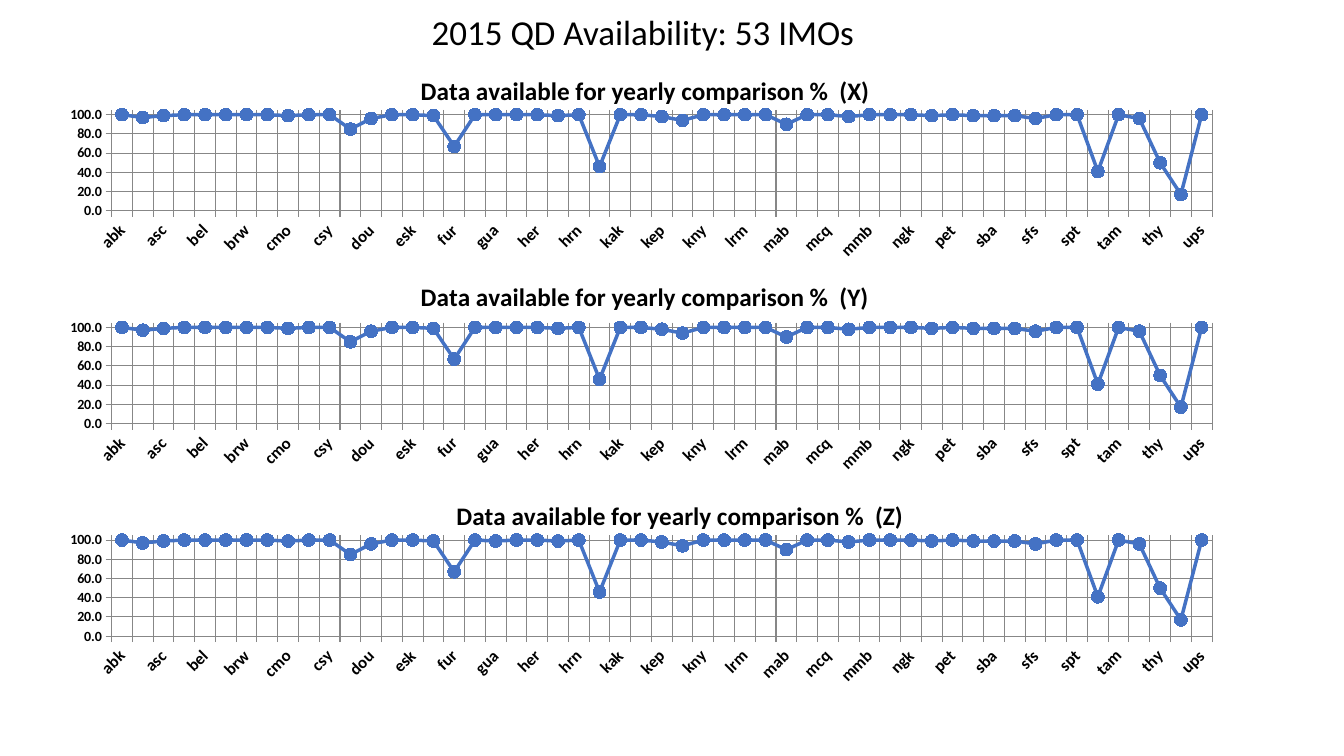
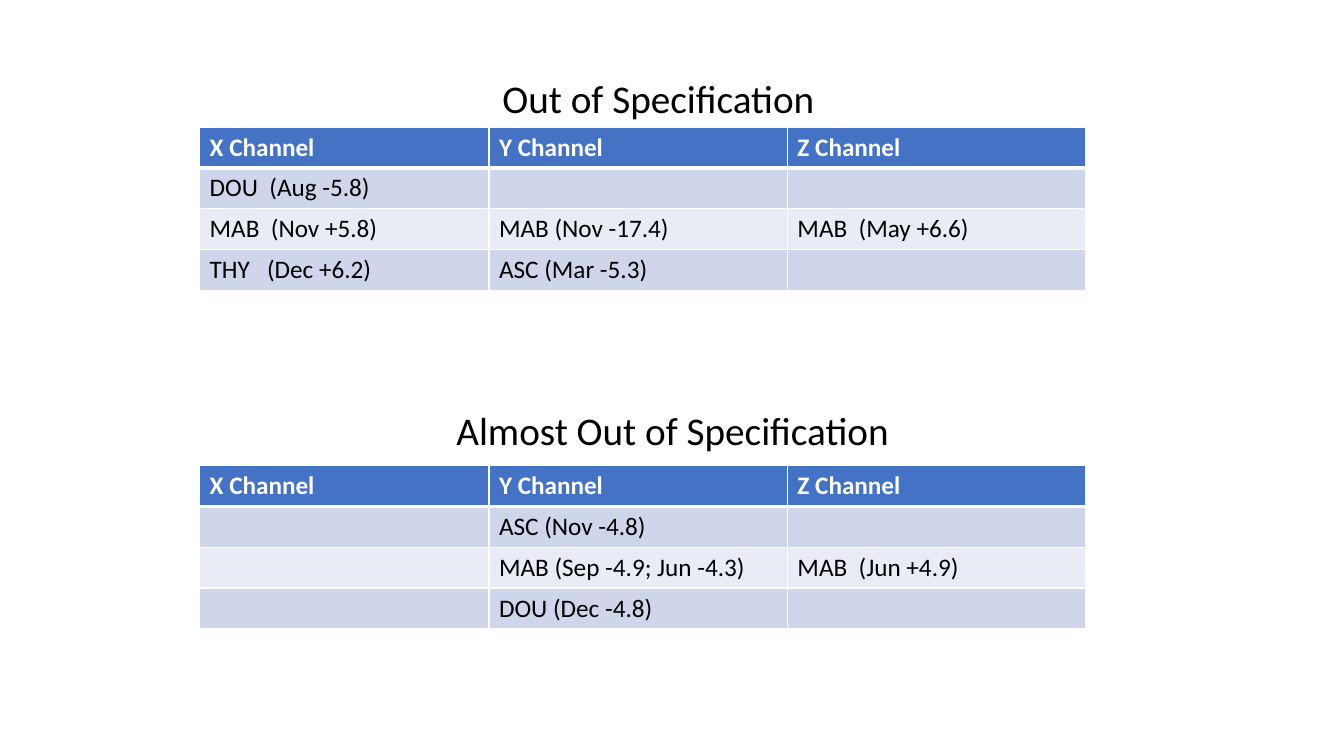
from dataclasses import dataclass

from lxml import etree
from pptx import Presentation
from pptx.chart.data import CategoryChartData
from pptx.dml.color import RGBColor
from pptx.enum import chart as ch, text
from pptx.oxml import ns
from pptx.util import Inches, Pt


@dataclass(frozen=True)
class Theme:
    font: str = "Calibri"
    ink: str = "000000"
    paper: str = "FFFFFF"
    accent: str = "4472C4"
    bands: tuple = ("CFD5EA", "E9EBF5")
    grid: str = "878787"
    page_title: int = 25
    table_title: int = 28
    body: int = 18
    categories: int = 12
    values: int = 10


THEME = Theme()

STATIONS = (
    "abk api asc asp bel bou brw cki cmo cnb csy cta dou ebr esk frd fur gng "
    "gua had her hon hrn jco kak kdu kep khb kny ler lrm lyc mab maw mcq mgd "
    "mmb new ngk nvs pet pst sba sbl sfs sjg spt sua tam tdc thy tuc ups"
).split()
# Stations below full availability, in percent
SHORTFALLS = dict(
    api=97, asc=99, cmo=99, cta=85, dou=96, frd=99, fur=67, hon=99, jco=46,
    kep=98, khb=94, mab=90, mgd=98, nvs=99, pst=99, sba=99, sbl=99, sfs=96,
    sua=41, tdc=96, thy=50, tuc=17,
)
# Channel, title position within the chart, further shortfalls
CHANNELS = [
    ("X", (0.31, 0.07), {}),
    ("Y", (0.31, 0.04), {}),
    ("Z", (0.34, 0.07), {"gua": 99}),
]
HEADER = ["X Channel", "Y Channel", "Z Channel"]
OUT_OF_SPEC = [
    ["DOU  (Aug -5.8)", "", ""],
    ["MAB  (Nov +5.8)", "MAB (Nov -17.4)", "MAB  (May +6.6)"],
    ["THY   (Dec +6.2)", "ASC (Mar -5.3)", ""],
]
ALMOST_OUT = [
    ["", "ASC (Nov -4.8)", ""],
    ["", "MAB (Sep -4.9; Jun -4.3)", "MAB  (Jun +4.9)"],
    ["", "DOU (Dec -4.8)", ""],
]


def rgb(color):
    return RGBColor.from_string(color)


def set_font(font, size, color=THEME.ink, bold=False):
    font.name, font.size, font.bold = THEME.font, Pt(size), bold
    font.color.rgb = rgb(color)


def add_title(s, words, left, top, width, height, size):
    tf = s.shapes.add_textbox(*map(Inches, (left, top, width, height))).text_frame
    tf.word_wrap = True
    tf.vertical_anchor = text.MSO_ANCHOR.MIDDLE
    p = tf.paragraphs[0]
    p.text = words
    p.alignment = text.PP_ALIGN.CENTER
    p.line_spacing = 0.9
    set_font(p.font, size)


def set_layout(parent, index, **settings):
    """Place a chart part by hand, in fractions of the chart."""
    for old in parent.findall(ns.qn("c:layout")):
        parent.remove(old)
    layout = etree.Element(ns.qn("c:layout"))
    manual = etree.SubElement(layout, ns.qn("c:manualLayout"))
    for name, value in settings.items():
        etree.SubElement(manual, ns.qn(f"c:{name}")).set("val", str(value))
    parent.insert(index, layout)


def style_axis(axis, size):
    axis.has_major_gridlines = True
    axis.major_tick_mark = ch.XL_TICK_MARK.OUTSIDE
    for line in (axis.major_gridlines.format.line, axis.format.line):
        line.color.rgb = rgb(THEME.grid)
        line.width = Pt(0.75)
    set_font(axis.tick_labels.font, size, bold=True)


def add_availability_chart(s, channel, title_at, extra, top):
    low = SHORTFALLS | extra
    data = CategoryChartData()
    data.categories = STATIONS
    data.add_series("Series 1", [low.get(name, 100) for name in STATIONS])
    chart = s.shapes.add_chart(
        ch.XL_CHART_TYPE.LINE_MARKERS, Inches(0.47), Inches(top),
        Inches(11.8), Inches(2.11), data).chart
    chart.has_legend = False
    set_font(chart.font, THEME.values)

    p = chart.chart_title.text_frame.paragraphs[0]
    p.text = f"Data available for yearly comparison %  ({channel})"
    set_font(p.font, THEME.body, bold=True)
    x, y = title_at
    set_layout(chart.chart_title._element, 1, xMode="edge", yMode="edge", x=x, y=y)
    set_layout(chart._chartSpace.chart.plotArea, 0, layoutTarget="inner",
               xMode="edge", yMode="edge", x=0.054, y=0.266, w=0.925, h=0.475)

    style_axis(chart.category_axis, THEME.categories)
    labels = chart.category_axis._element.find(ns.qn("c:txPr"))
    labels.find(ns.qn("a:bodyPr")).set("rot", "-2700000")
    axis = chart.value_axis
    style_axis(axis, THEME.values)
    axis.minimum_scale, axis.maximum_scale, axis.major_unit = 0, 105, 20
    axis.tick_labels.number_format = "0.0"
    axis.tick_labels.number_format_is_linked = False

    chart.plots[0].vary_by_categories = False
    series = chart.plots[0].series[0]
    series.smooth = False
    series.format.line.color.rgb = rgb(THEME.accent)
    series.format.line.width = Pt(2.5)
    marker = series.marker
    marker.style, marker.size = ch.XL_MARKER_STYLE.CIRCLE, 9
    marker.format.fill.solid()
    marker.format.fill.fore_color.rgb = rgb(THEME.accent)
    marker.format.line.color.rgb = rgb(THEME.accent)


def set_borders(cell, bottom):
    widths = {"lnL": 1, "lnR": 1, "lnT": 1, "lnB": bottom}
    tcPr = cell._tc.get_or_add_tcPr()
    for i, (side, width) in enumerate(widths.items()):
        line = etree.Element(ns.qn(f"a:{side}"), w=str(Pt(width)))
        fill = etree.SubElement(line, ns.qn("a:solidFill"))
        etree.SubElement(fill, ns.qn("a:srgbClr")).set("val", THEME.paper)
        tcPr.insert(i, line)


def add_channel_table(s, rows, top):
    rows = [HEADER] + rows
    widths, height = (2.87, 2.96, 2.96), 0.405
    table = s.shapes.add_table(
        len(rows), len(widths), Inches(1.98), Inches(top),
        Inches(sum(widths)), Inches(height * len(rows))).table
    for column, width in zip(table.columns, widths):
        column.width = Inches(width)
    for r, row in enumerate(rows):
        is_header = r == 0
        fill = THEME.accent if is_header else THEME.bands[(r - 1) % 2]
        for c, words in enumerate(row):
            cell = table.cell(r, c)
            cell.fill.solid()
            cell.fill.fore_color.rgb = rgb(fill)
            set_borders(cell, bottom=3 if is_header else 1)
            p = cell.text_frame.paragraphs[0]
            p.text = words
            set_font(p.font, THEME.body,
                     THEME.paper if is_header else THEME.ink, is_header)


def build_availability(s):
    add_title(s, "2015 QD Availability: 53 IMOs", 3.73, 0, 5.29, 0.67,
              THEME.page_title)
    for i, (channel, title_at, extra) in enumerate(CHANNELS):
        add_availability_chart(s, channel, title_at, extra, 0.53 + 2.11 * i)


def build_specification(s):
    add_title(s, "Out of Specification", 4.45, 0.59, 4.16, 0.81,
              THEME.table_title)
    add_channel_table(s, OUT_OF_SPEC, 1.26)
    add_channel_table(s, ALMOST_OUT, 4.62)
    add_title(s, "Almost Out of Specification", 3.93, 3.89, 5.48, 0.81,
              THEME.table_title)


def main():
    prs = Presentation()
    prs.slide_width, prs.slide_height = Inches(13.33), Inches(7.5)
    for build in (build_availability, build_specification):
        build(prs.slides.add_slide(prs.slide_layouts[6]))
    prs.save("out.pptx")


if __name__ == "__main__":
    main()
